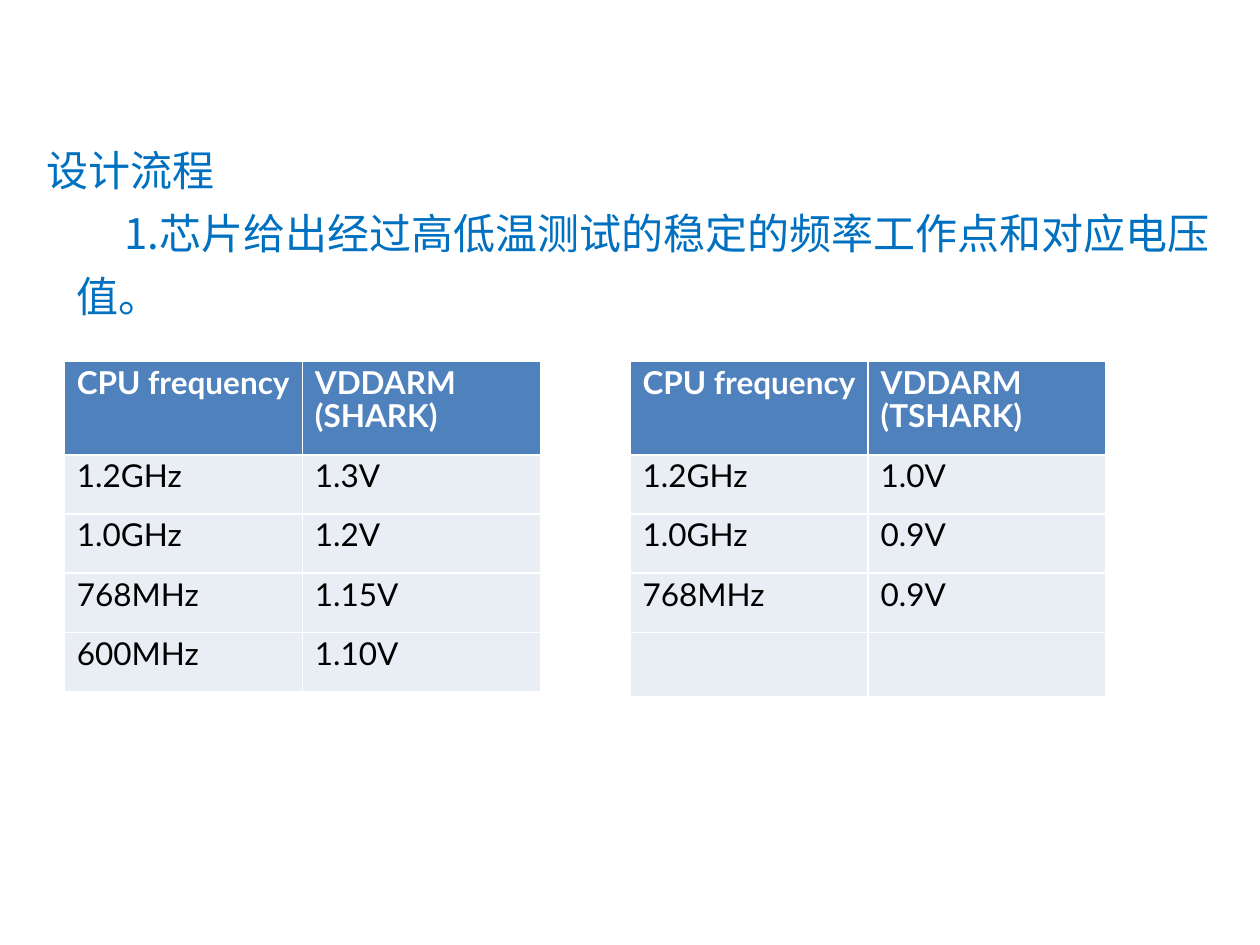
from lxml import etree
from pptx import Presentation
from pptx.dml.color import RGBColor
from pptx.oxml.ns import qn
from pptx.util import Inches, Pt

COLORS = {"head": "4F81BD", "body": "E9EDF4", "white": "FFFFFF", "black": "000000", "blue": "0070C0"}
HEAD = "CPU frequency"
TABLES = [
    (0.51, 0.47, [(HEAD, "VDDARM\n(SHARK)"), ("1.2GHz", "1.3V"), ("1.0GHz", "1.2V"),
                  ("768MHz", "1.15V"), ("600MHz", "1.10V")]),
    (5, 0.51, [(HEAD, "VDDARM\n(TSHARK)"), ("1.2GHz", "1.0V"), ("1.0GHz", "0.9V"),
               ("768MHz", "0.9V"), ("", "")]),
]


def style(para, size, color, bold=False):
    font = para.font
    font.name = "Lato"
    font.size = Pt(size)
    font.bold = bold
    font.color.rgb = RGBColor.from_string(COLORS[color])


prs = Presentation()
prs.slide_width = Inches(10)
prs.slide_height = Inches(7.5)
slide = prs.slides.add_slide(prs.slide_layouts[6])

for left, last, rows in TABLES:
    frame = slide.shapes.add_table(5, 2, Inches(left), Inches(2.87), Inches(3.78), Inches(2.62))
    table = frame.table
    heights = [0.74, 0.47, 0.47, 0.47, last]
    for r, row in enumerate(rows):
        table.rows[r].height = Inches(heights[r])
        for c, text in enumerate(row):
            cell = table.cell(r, c)
            cell.fill.solid()
            cell.fill.fore_color.rgb = RGBColor.from_string(COLORS["body" if r else "head"])
            cell.text = text
            for para in cell.text_frame.paragraphs:
                para.line_spacing = 0.88
                style(para, 18, "black" if r else "white", r == 0)

box = slide.shapes.add_textbox(Inches(0.27), Inches(1), Inches(9.57), Inches(6.2))
frame = box.text_frame
frame.word_wrap = True
frame.text = "设计流程\n芯片给出经过高低温测试的稳定的频率工作点和对应电压值。"
title, step = frame.paragraphs
for para in (title, step):
    para.line_spacing = Pt(36)

props = step._p.get_or_add_pPr()
props.set("marL", str(Inches(0.24)))
props.set("indent", str(Inches(0.38)))
tint = etree.SubElement(props, qn("a:buClr"))
etree.SubElement(tint, qn("a:srgbClr"), val=COLORS["blue"])
etree.SubElement(props, qn("a:buFont"), typeface="Lato")
etree.SubElement(props, qn("a:buAutoNum"), type="arabicPeriod")

for para in (title, step):
    style(para, 24, "blue")

prs.save("out.pptx")
